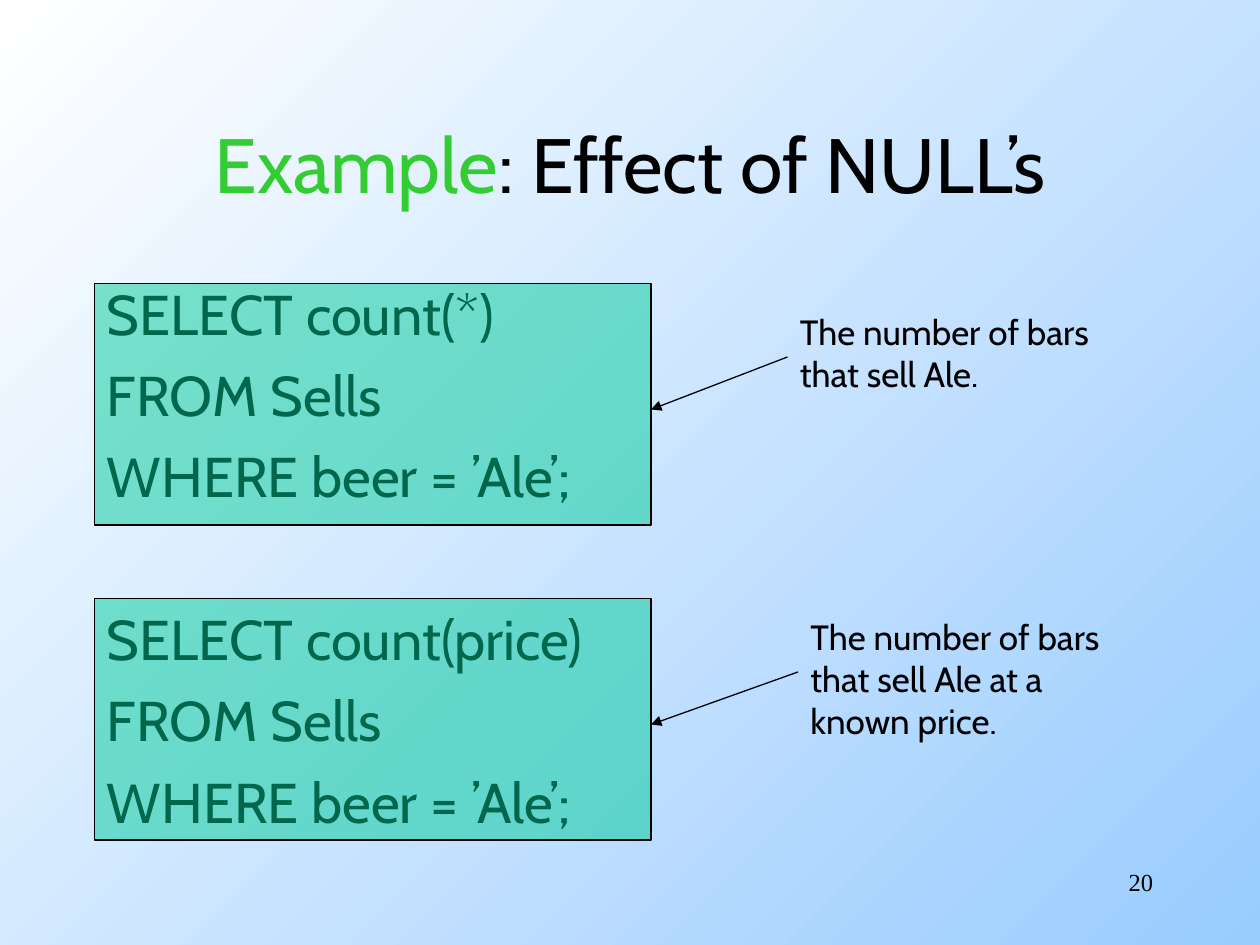
import pptx
import pptx.util
import pptx.dml.color
import pptx.enum.shapes
import pptx.enum.text
import pptx.oxml
import pptx.oxml.ns
from lxml import etree

COLORS = {"ink": "000000", "accent": "33CC33", "panel": "00CC99",
          "sky": "99CCFF", "white": "FFFFFF"}
ALIGN = pptx.enum.text.PP_ALIGN
ANCHOR = pptx.enum.text.MSO_ANCHOR
COLUMNS, ROWS = 120, 90

deck = pptx.Presentation()
deck.slide_width = pptx.util.Inches(10)
deck.slide_height = pptx.util.Inches(7.5)
cell = deck.slide_width // COLUMNS  # square cells, 90 rows high
slide = deck.slides.add_slide(deck.slide_layouts[6])


def rgb(key):
    return pptx.dml.color.RGBColor.from_string(COLORS[key])


def add_text(grid_box, lines, size, font="Cabin", anchor=ANCHOR.TOP, **paragraph_format):
    """Each line is a list of (text, colour key) pieces."""
    frame = slide.shapes.add_textbox(*(cell * n for n in grid_box)).text_frame
    frame.word_wrap = True
    frame.vertical_anchor = anchor
    for number, line in enumerate(lines):
        paragraph = frame.add_paragraph() if number else frame.paragraphs[0]
        for attribute, value in paragraph_format.items():
            setattr(paragraph, attribute, value)
        for words, color in line:
            run = paragraph.add_run()
            run.text = words
            run.font.name = font
            run.font.size = pptx.util.Pt(size)
            run.font.color.rgb = rgb(color)


# Background: blue at bottom right to white at top left
backdrop = slide.background.fill
backdrop.gradient()
backdrop.gradient_angle = 135
for stop, color in zip(backdrop.gradient_stops, ("sky", "white")):
    stop.color.rgb = rgb(color)

# Page number and title
add_text((86, 82, 25, 6), [[("20", "ink")]], 14, "Times New Roman", alignment=ALIGN.RIGHT)
add_text((9, 8, 102, 15), [[("Example", "accent"), (": Effect of NULL’s", "ink")]], 44,
         anchor=ANCHOR.MIDDLE, alignment=ALIGN.CENTER)

# Queries, each under a translucent panel with a note and an arrow
queries = [
    {"counted": "*", "text_row": 26, "panel_row": 27, "note_column": 75, "note_row": 29,
     "note": ["The number of bars", "that sell Ale."]},
    {"counted": "price", "text_row": 57, "panel_row": 57, "note_column": 76, "note_row": 58,
     "note": ["The number of bars", "that sell Ale at a", "known price."]},
]
panel_left, panel_width, panel_height = 9, 53, 23

for query in queries:
    code = [f"SELECT count({query['counted']})", "FROM Sells", "WHERE beer = ’Ale’;"]
    add_text((panel_left, query["text_row"], panel_width, panel_height),
             [[(line, "ink")] for line in code], 32, space_before=pptx.util.Pt(8))

    panel = slide.shapes.add_shape(
        pptx.enum.shapes.MSO_SHAPE.RECTANGLE, cell * panel_left, cell * query["panel_row"],
        cell * panel_width, cell * panel_height)
    panel.shadow.inherit = False
    panel.fill.solid()
    panel.fill.fore_color.rgb = rgb("panel")
    tint = panel.fill._xPr.find(".//" + pptx.oxml.ns.qn("a:srgbClr"))
    etree.SubElement(tint, pptx.oxml.ns.qn("a:alpha"), val="50000")

    add_text((query["note_column"], query["note_row"], 33.5, 4 * len(query["note"])),
             [[(line, "ink")] for line in query["note"]], 20)

    arrow = slide.shapes.add_connector(
        pptx.enum.shapes.MSO_CONNECTOR.STRAIGHT,
        cell * query["note_column"], cell * (query["panel_row"] + 7),
        cell * (panel_left + panel_width), cell * (query["panel_row"] + 12))
    for outlined in (panel, arrow):
        outlined.line.color.rgb = rgb("ink")
        outlined.line.width = pptx.util.Pt(0.75)
    etree.SubElement(arrow.line._get_or_add_ln(), pptx.oxml.ns.qn("a:tailEnd"), type="triangle")
    etree.SubElement(arrow._element.spPr, pptx.oxml.ns.qn("a:effectLst"))

deck.save("out.pptx")
